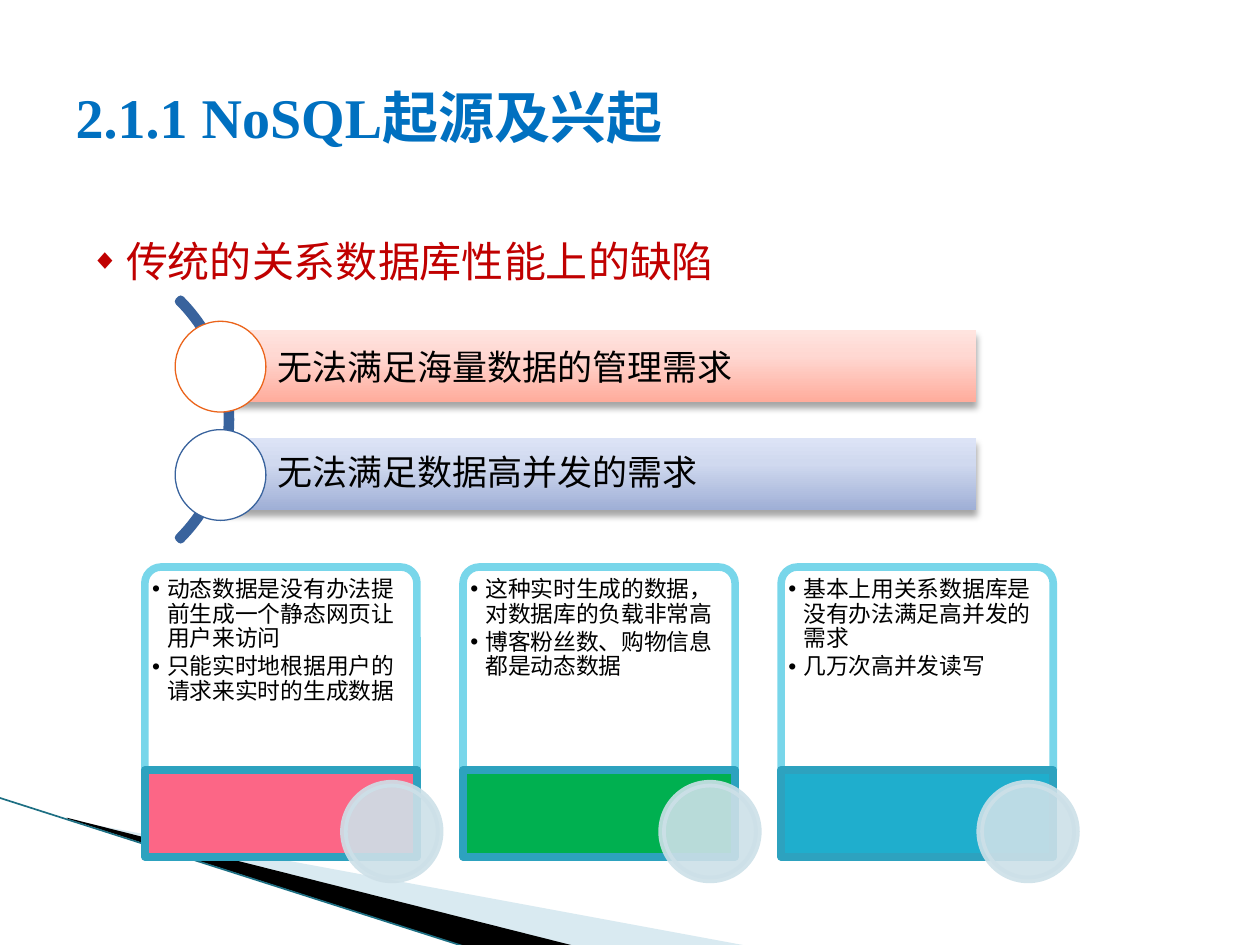
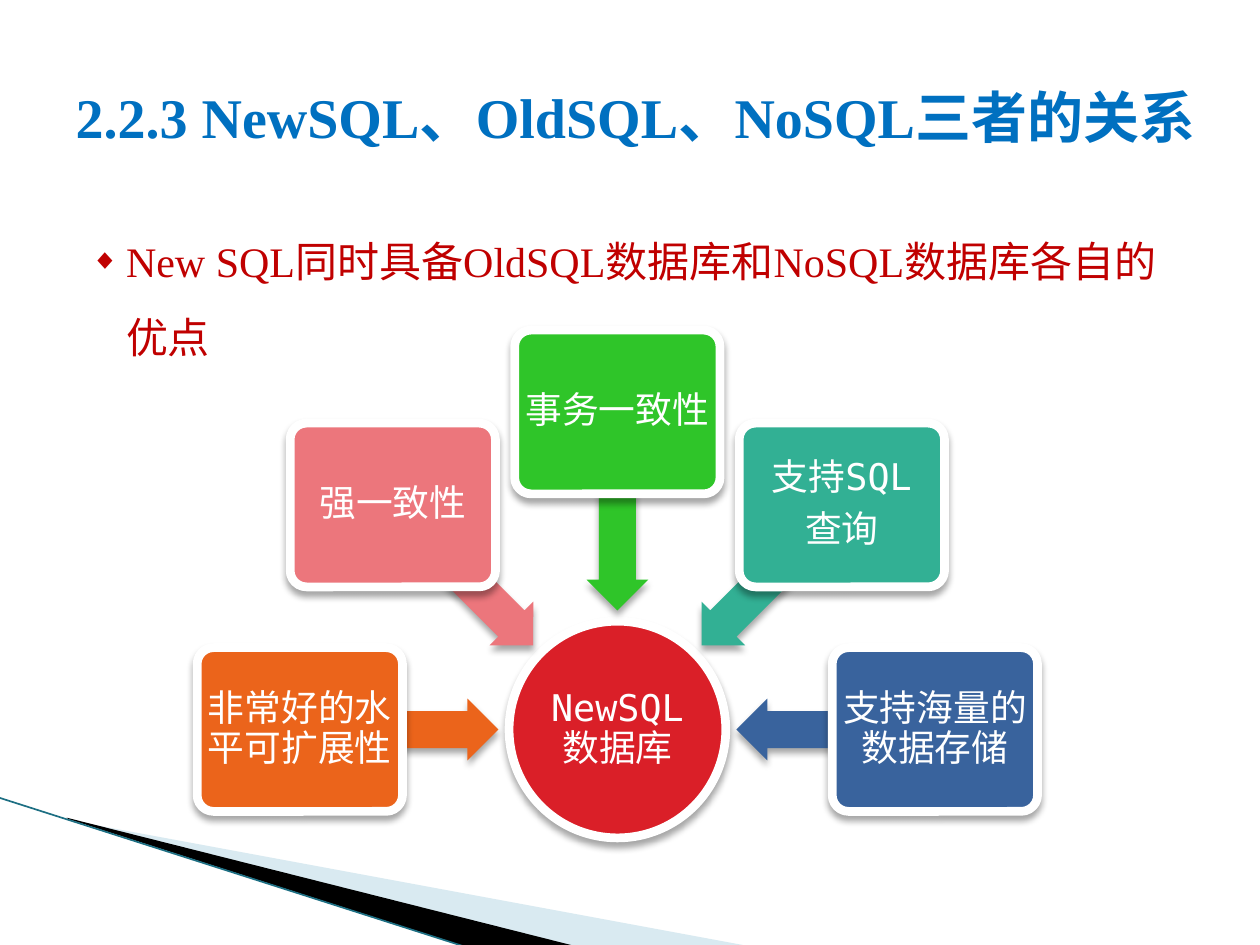
"""Build two slides on the rise of NoSQL and on NewSQL."""
from copy import deepcopy
from math import cos, radians, sin

from lxml import etree
from pptx import Presentation
from pptx.dml.color import RGBColor
from pptx.enum.shapes import MSO_CONNECTOR, MSO_SHAPE
from pptx.enum.text import MSO_ANCHOR, MSO_AUTO_SIZE, PP_ALIGN
from pptx.oxml.ns import qn
from pptx.util import Inches, Pt

RECT, OVAL, ROUND = MSO_SHAPE.RECTANGLE, MSO_SHAPE.OVAL, MSO_SHAPE.ROUNDED_RECTANGLE
CAP, ARC, ARROW = MSO_SHAPE.ROUND_2_SAME_RECTANGLE, MSO_SHAPE.BLOCK_ARC, MSO_SHAPE.LEFT_ARROW
LINE = MSO_CONNECTOR.STRAIGHT
LEFT, CENTER = PP_ALIGN.LEFT, PP_ALIGN.CENTER
TOP, MIDDLE = MSO_ANCHOR.TOP, MSO_ANCHOR.MIDDLE
FIXED = MSO_AUTO_SIZE.NONE

SERIF, SANS, MONO = "Times New Roman", "Noto Sans CJK SC", "DejaVu Sans Mono"
BLUE, RED, NAVY, ORANGE = "0070C0", "C00000", "39639D", "EB641B"
BLACK, WHITE, TEAL = "000000", "FFFFFF", "1D6F83"
AQUA, RIM, MIST = "78D6EA", "2DA2BF", "CDE0E8"


def paint(shape, fill=None, line=None, width=1, alpha=None, shadow=False):
    """Set fill, line, opacity in percent and shadow of a shape."""
    for part, color in ((shape.fill, fill), (shape.line.fill, line)):
        if color:
            part.solid()
            part.fore_color.rgb = RGBColor.from_string(color)
        else:
            part.background()
    if line:
        shape.line.width = Pt(width)
    props = shape.element.spPr
    if alpha:
        for color in props.iter(qn("a:srgbClr")):
            etree.SubElement(color, qn("a:alpha"), val=str(alpha * 1000))
    shape.shadow.inherit = False
    if shadow:
        drop = etree.SubElement(props.find(qn("a:effectLst")), qn("a:outerShdw"),
                                blurRad=str(Pt(4)), dist=str(Pt(3)), dir="5400000", rotWithShape="0")
        color = etree.SubElement(drop, qn("a:srgbClr"), val=BLACK)
        etree.SubElement(color, qn("a:alpha"), val="35000")


def write(shape, text, font, size, color, bold=False, align=LEFT, anchor=MIDDLE,
          inset=(0.1, 0.05, 0.1, 0.05), space=1, after=0, bullet=None, indent=0, hang=0, scale=100):
    """Put text in a shape and format its paragraphs."""
    frame = shape.text_frame
    frame.text = text
    frame.word_wrap = True
    frame.auto_size = FIXED
    frame.vertical_anchor = anchor
    (frame.margin_left, frame.margin_top,
     frame.margin_right, frame.margin_bottom) = map(Inches, inset)
    for para in frame.paragraphs:
        para.alignment = align
        para.line_spacing = space
        para.space_before = Pt(0)
        para.space_after = Pt(after)
        if bullet:
            props = para._p.get_or_add_pPr()
            props.set("marL", str(Inches(indent)))
            props.set("indent", str(Inches(-hang)))
            tint = etree.SubElement(props, qn("a:buClr"))
            etree.SubElement(tint, qn("a:srgbClr"), val=color)
            etree.SubElement(props, qn("a:buSzPct"), val=str(scale * 1000))
            etree.SubElement(props, qn("a:buFont"), typeface="Arial")
            etree.SubElement(props, qn("a:buChar"), char=bullet)
        for run in para.runs:
            run.font.name = font
            run.font.size = Pt(size)
            run.font.bold = bold
            run.font.color.rgb = RGBColor.from_string(color)


deck = Presentation()
deck.slide_width, deck.slide_height = Inches(10), Inches(7.5)
layout = deck.slide_layouts[1]

heads = [
    ("2.1.1 NoSQL起源及兴起", 8.83, "传统的关系数据库性能上的缺陷"),
    ("2.2.3 NewSQL、OldSQL、NoSQL三者的关系", 9.3,
     "New SQL同时具备OldSQL数据库和NoSQL数据库各自的优点"),
]
for head, wide, point in heads:
    slide = deck.slides.add_slide(layout)
    title, body = slide.placeholders
    title.left, title.top, title.width, title.height = map(Inches, (0.5, 0.3, wide, 1.25))
    write(title, head, SERIF, 32, BLUE, bold=True)
    body.left, body.top, body.width, body.height = map(Inches, (0.5, 1.62, 9, 4.95))
    write(body, point, SERIF, 24, RED, anchor=TOP, space=1.5,
          bullet="◆", indent=0.4, hang=0.28, scale=68)
first, second = deck.slides

wedges = [
    ([(0.55, 6.51), (5.95, 7.51), (4.56, 7.51), (0.55, 6.5)], "A0CBDC", 40),
    ([(0.53, 6.49), (4.57, 7.51), (3.72, 7.52), (0.54, 6.5)], BLACK, None),
]
decor = []
for points, color, alpha in wedges:
    start, *rest = [(Inches(x), Inches(y)) for x, y in points]
    path = first.shapes.build_freeform(*start)
    path.add_line_segments(rest)
    wedge = path.convert_to_shape()
    paint(wedge, color, alpha=alpha)
    decor.append(wedge)
edge = first.shapes.add_connector(LINE, *map(Inches, (-0.01, 6.33, 3.71, 7.52)))
edge.line.color.rgb = RGBColor.from_string(TEAL)
edge.line.width = Pt(0.95)
etree.SubElement(edge.element.spPr, qn("a:effectLst"))
decor.append(edge)
for place, item in enumerate(decor, 2):
    layout.shapes.element.insert(place, item.element)

shapes = first.shapes
arc = shapes.add_shape(ARC, *map(Inches, (-0.87, 1.98, 2.7, 2.7)))
for place, value in enumerate((189, 27, 0.009)):
    arc.adjustments[place] = value
paint(arc, line=NAVY, width=4.33)

needs = [
    ("无法满足海量数据的管理需求", ("FFAC9C", "FFD8D2", "FFE4DF"), ORANGE, 1),
    ("无法满足数据高并发的需求", ("9FAFD6", "D0D9EF", "DCE3F6"), NAVY, 0.9),
]
for row, (text, shades, rim, space) in enumerate(needs):
    top = 2.62 + 0.86 * row
    bar = shapes.add_shape(RECT, *map(Inches, (1.75, top, 6, 0.57)))
    paint(bar, shadow=True)
    bar.fill.gradient()
    bar.fill.gradient_angle = 90
    stops = bar.element.spPr.find(".//" + qn("a:gsLst"))
    stops.append(deepcopy(stops[0]))
    for stop, spot, shade in zip(bar.fill.gradient_stops, (0, 0.65, 1), shades):
        stop.position = spot
        stop.color.rgb = RGBColor.from_string(shade)
    write(bar, text, SANS, 20, BLACK, inset=(0.45, 0.06, 0.06, 0.06), space=space)
    dot = shapes.add_shape(OVAL, *map(Inches, (1.39, top - 0.07, 0.72, 0.72)))
    paint(dot, WHITE, rim, 0.75)

cards = [
    ("动态数据是没有办法提前生成一个静态网页让用户来访问\n"
     "只能实时地根据用户的请求来实时的生成数据", "FC6686"),
    ("这种实时生成的数据，对数据库的负载非常高\n博客粉丝数、购物信息都是动态数据", "00B050"),
    ("基本上用关系数据库是没有办法满足高并发的需求\n几万次高并发读写", "1FAECD"),
]
for col, (text, color) in enumerate(cards):
    left = 1.15 + 2.525 * col
    card = shapes.add_shape(CAP, *map(Inches, (left, 4.5, 2.16, 1.61)))
    card.adjustments[0] = 0.08
    paint(card, WHITE, AQUA, 4.33)
    write(card, text, SANS, 13, BLACK, anchor=TOP, inset=(0.02, 0.05, 0.02, 0.02),
          space=0.9, after=2, bullet="•", indent=0.12, hang=0.12)
    base = shapes.add_shape(RECT, *map(Inches, (left, 6.11, 2.16, 0.69)))
    paint(base, color, RIM, 4.33)
    disc = shapes.add_shape(OVAL, *map(Inches, (left + 1.58, 6.22, 0.76, 0.76)))
    paint(disc, MIST, MIST, 4.33, alpha=90)

shapes = second.shapes
mid_x, mid_y = 4.9, 5.79
hub = shapes.add_shape(OVAL, *map(Inches, (mid_x - 0.86, mid_y - 0.86, 1.72, 1.72)))
paint(hub, "DA1F28", WHITE, 5, shadow=True)
write(hub, "NewSQL数据库", MONO, 21, WHITE, align=CENTER, inset=[0.01] * 4, space=0.9)

traits = [
    ("非常好的水平可扩展性", ORANGE),
    ("强一致性", "EC767C"),
    ("事务一致性", "2FC529"),
    ("支持SQL\n查询", "32B094"),
    ("支持海量的数据存储", NAVY),
]
for place, (text, color) in enumerate(traits):
    angle = 180 + 45 * place
    dx, dy = cos(radians(angle)), sin(radians(angle))
    arrow = shapes.add_shape(ARROW, *map(Inches, (
        mid_x + 1.73 * dx - 0.785, mid_y + 1.73 * dy - 0.245, 1.57, 0.49)))
    arrow.adjustments[0] = 0.6
    arrow.rotation = angle % 360
    paint(arrow, color, shadow=True)
    box = shapes.add_shape(ROUND, *map(Inches, (
        mid_x + 2.52 * dx - 0.815, mid_y + 2.52 * dy - 0.65, 1.63, 1.3)))
    box.adjustments[0] = 0.1
    paint(box, color, WHITE, 5, shadow=True)
    write(box, text, MONO, 21, WHITE, align=CENTER, inset=[0.04] * 4, space=0.9, after=7)

deck.save("out.pptx")
